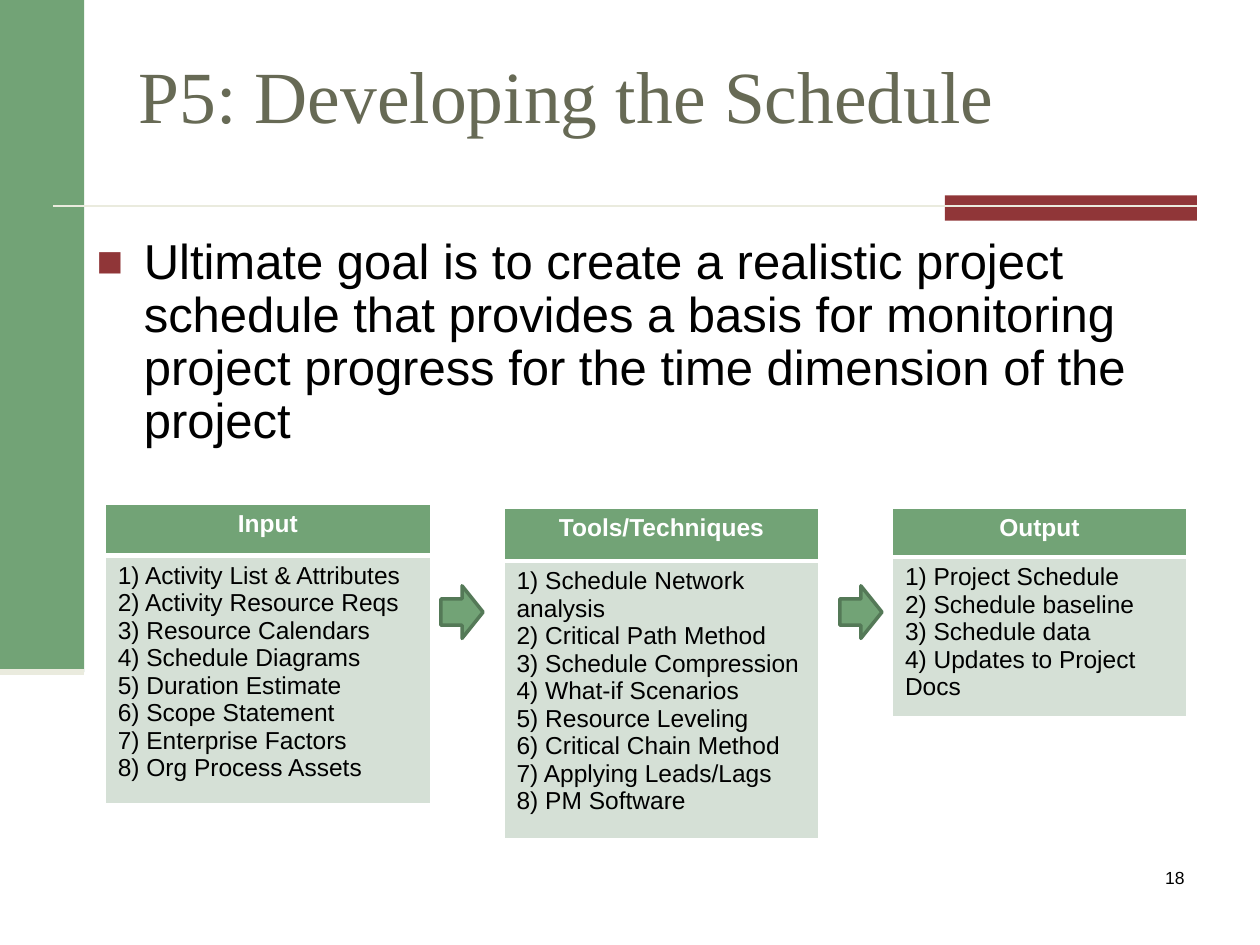
from lxml import etree
from pptx import Presentation
from pptx import util as u
from pptx.dml import color
from pptx.enum import shapes, text
from pptx.oxml import ns

COLORS = {
    "green": "72A376", "dark_green": "547957", "pale_green": "D5E0D6",
    "red": "903638", "cream": "EAEBDE", "olive": "676A55",
    "black": "000000", "white": "FFFFFF",
}
ALIGN = text.PP_ALIGN
ANCHOR = text.MSO_ANCHOR


def rgb(name):
    return color.RGBColor.from_string(COLORS[name])


def add_element(parent, tag, **attributes):
    return etree.SubElement(parent, ns.qn(tag), attributes)


def apply(target, values):
    for name, value in values.items():
        setattr(target, name, value)


class SlideBuilder:
    sans = "Arial"
    serif = "Times New Roman"

    def __init__(self, deck):
        self.slide = deck.slides.add_slide(deck.slide_layouts[5])
        self.items = self.slide.shapes

    def fill_text(self, frame, lines, size, tint, font=None, bold=False, **layout):
        for index, line in enumerate(lines):
            para = frame.paragraphs[0] if index == 0 else frame.add_paragraph()
            apply(para, {"alignment": ALIGN.LEFT, **layout})
            span = para.add_run()
            span.text = line
            apply(span.font, {"name": font or self.sans, "size": u.Pt(size), "bold": bold})
            span.font.color.rgb = rgb(tint)

    def title(self, place, line):
        box = self.items.title
        apply(box, dict(zip(("left", "top", "width", "height"), map(u.Cm, place))))
        apply(box.text_frame, {"word_wrap": True, "auto_size": text.MSO_AUTO_SIZE.NONE,
                               "vertical_anchor": ANCHOR.MIDDLE})
        self.fill_text(box.text_frame, [line], 42, "olive", self.serif)

    def textbox(self, place, line, size, **layout):
        box = self.items.add_textbox(*map(u.Cm, place))
        apply(box.text_frame, {"word_wrap": True, "vertical_anchor": ANCHOR.TOP})
        self.fill_text(box.text_frame, [line], size, "black", **layout)
        return box

    def bullet(self, place, line):
        box = self.textbox(place, line, 28, line_spacing=0.9, space_before=u.Pt(5.6))
        properties = box.text_frame.paragraphs[0]._p.get_or_add_pPr()
        indent = u.Cm(0.95)
        properties.set("marL", str(indent))
        properties.set("indent", str(-indent))
        tint = add_element(properties, "a:buClr")
        add_element(tint, "a:srgbClr", val=COLORS["red"])
        add_element(properties, "a:buSzPct", val="90000")
        add_element(properties, "a:buFont", typeface=self.sans)
        add_element(properties, "a:buChar", char="■")

    def shape(self, kind, place, fill, outline=None):
        item = self.items.add_shape(kind, *map(u.Cm, place))
        item.shadow.inherit = False
        item.fill.solid()
        item.fill.fore_color.rgb = rgb(fill)
        if outline:
            item.line.color.rgb = rgb(outline)
            item.line.width = u.Pt(2)
        else:
            item.line.fill.background()

    def line(self, start, end, width):
        item = self.items.add_connector(shapes.MSO_CONNECTOR.STRAIGHT, *map(u.Cm, start + end))
        item.line.color.rgb = rgb("cream")
        item.line.width = u.Pt(width)
        add_element(item._element.spPr, "a:effectLst")

    def cell(self, cell, lines, fill, borders, **style):
        properties = cell._tc.get_or_add_tcPr()
        for side, width in zip("LRTB", borders):
            border = add_element(properties, f"a:ln{side}", w=str(u.Pt(width)))
            paint = add_element(border, "a:solidFill")
            add_element(paint, "a:srgbClr", val=COLORS["white"])
        cell.fill.solid()
        cell.fill.fore_color.rgb = rgb(fill)
        self.fill_text(cell.text_frame, lines, 14, **style)

    def list_table(self, left, top, width, heights, heading, entries):
        frame = self.items.add_table(2, 1, *map(u.Cm, (left, top, width, sum(heights))))
        table = frame.table
        table.horz_banding = False
        for row, height in zip(table.rows, heights):
            row.height = u.Cm(height)
        numbered = [f"{number}) {entry}" for number, entry in enumerate(entries, 1)]
        self.cell(table.cell(0, 0), [heading], "green", (1, 1, 1, 3),
                  tint="white", bold=True, alignment=ALIGN.CENTER)
        self.cell(table.cell(1, 0), numbered, "pale_green", (1, 1, 3, 1), tint="black")


TABLES = [
    (2.12, 10.16, 6.56, (1.04, 1.04), "Input", [
        "Activity List & Attributes", "Activity Resource Reqs", "Resource Calendars",
        "Schedule Diagrams", "Duration Estimate", "Scope Statement",
        "Enterprise Factors", "Org Process Assets"]),
    (10.16, 10.24, 6.35, (1.07, 2.69), "Tools/Techniques", [
        "Schedule Network analysis", "Critical Path Method", "Schedule Compression",
        "What-if Scenarios", "Resource Leveling", "Critical Chain Method",
        "Applying Leads/Lags", "PM Software"]),
    (17.99, 10.24, 5.93, (0.99, 2.77), "Output", [
        "Project Schedule", "Schedule baseline", "Schedule data",
        "Updates to Project Docs"]),
]


def main():
    deck = Presentation()
    apply(deck, {"slide_width": u.Cm(25.4), "slide_height": u.Cm(19.05)})
    page = SlideBuilder(deck)
    kinds = shapes.MSO_SHAPE

    page.shape(kinds.RECTANGLE, (0, 0, 1.7, 13.55), "green")
    page.shape(kinds.RECTANGLE, (19.05, 3.94, 5.08, 0.51), "red")
    page.line((1.07, 4.15), (24.13, 4.15), 1.5)
    page.line((0, 13.55), (1.7, 13.55), 3.5)

    page.title((2.54, 0.42, 22.86, 2.96), "P5: Developing the Schedule")
    page.bullet((1.7, 4.66, 22.73, 13.31),
                "Ultimate goal is to create a realistic project schedule that provides "
                "a basis for monitoring project progress for the time dimension of the project")
    page.textbox((18.84, 17.36, 5.29, 1.27), "18", 10, alignment=ALIGN.RIGHT)

    for table in TABLES:
        page.list_table(*table)
    for left in (8.89, 16.93):
        page.shape(kinds.RIGHT_ARROW, (left, 11.81, 0.85, 1.06), "green", "dark_green")

    deck.save("out.pptx")


if __name__ == "__main__":
    main()
